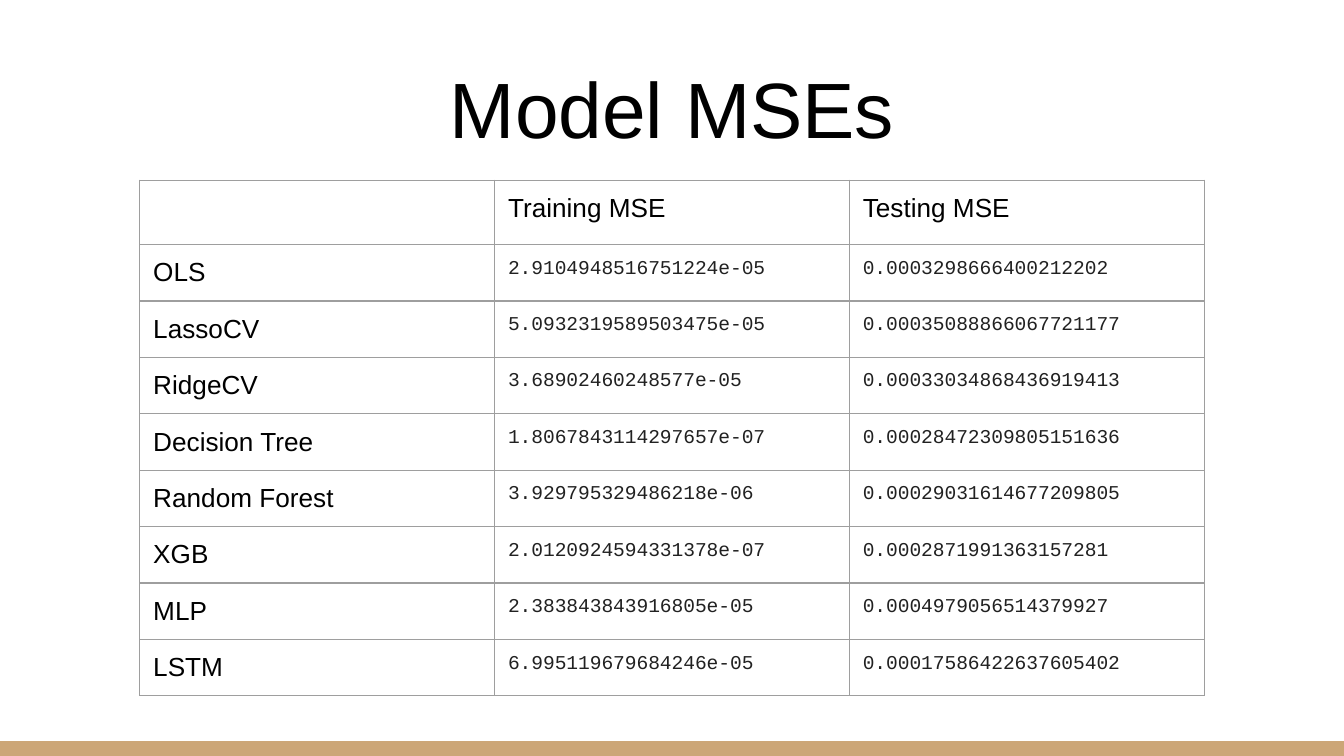
import dataclasses

import lxml.etree
import pptx
import pptx.dml.color
import pptx.enum.shapes
import pptx.enum.text
import pptx.oxml.ns
import pptx.util

Inches = pptx.util.Inches
Pt = pptx.util.Pt
RGB = pptx.dml.color.RGBColor.from_string

SLIDE_W = 10
SLIDE_H = SLIDE_W * 9 / 16
BAND_H = 0.11
TITLE_LEFT, TITLE_TOP, TITLE_H = 0.34, 0.34, 0.91
TABLE_LEFT, TABLE_TOP = 1.04, 1.34
COL_W, HEADER_H, ROW_H = 2.64, 0.48, 0.42
INSET = 0.1


@dataclasses.dataclass(frozen=True)
class TextStyle:
    font: str
    size: float
    color: str


@dataclasses.dataclass(frozen=True)
class Theme:
    title: TextStyle = TextStyle("Arial", 42, "000000")
    label: TextStyle = TextStyle("Arial", 14, "000000")
    value: TextStyle = TextStyle("Courier New", 10.5, "212121")
    band: str = "CCA677"
    border: str = "9E9E9E"
    border_width: float = 0.75


THEME = Theme()

ROWS = [
    ("", "Training MSE", "Testing MSE"),
    ("OLS", "2.9104948516751224e-05", "0.0003298666400212202"),
    ("LassoCV", "5.0932319589503475e-05", "0.00035088866067721177"),
    ("RidgeCV", "3.68902460248577e-05", "0.00033034868436919413"),
    ("Decision Tree", "1.8067843114297657e-07", "0.00028472309805151636"),
    ("Random Forest", "3.929795329486218e-06", "0.00029031614677209805"),
    ("XGB", "2.0120924594331378e-07", "0.0002871991363157281"),
    ("MLP", "2.383843843916805e-05", "0.0004979056514379927"),
    ("LSTM", "6.995119679684246e-05", "0.00017586422637605402"),
]


def style_paragraph(p, style):
    p.font.name = style.font
    p.font.size = Pt(style.size)
    p.font.color.rgb = RGB(style.color)


def set_insets(target):
    """Give a text frame or a table cell the same margin on every side."""
    target.margin_left = target.margin_right = Inches(INSET)
    target.margin_top = target.margin_bottom = Inches(INSET)


def add_band(s):
    sp = s.shapes.add_shape(
        pptx.enum.shapes.MSO_SHAPE.RECTANGLE,
        0, Inches(SLIDE_H - BAND_H), Inches(SLIDE_W), Inches(BAND_H))
    sp.shadow.inherit = False
    sp.fill.solid()
    sp.fill.fore_color.rgb = RGB(THEME.band)
    sp.line.fill.background()


def set_title(s, text):
    sp = s.shapes.title
    sp.left, sp.top = Inches(TITLE_LEFT), Inches(TITLE_TOP)
    sp.width, sp.height = Inches(SLIDE_W - 2 * TITLE_LEFT), Inches(TITLE_H)
    tf = sp.text_frame
    tf.text = text
    tf.auto_size = pptx.enum.text.MSO_AUTO_SIZE.NONE
    tf.vertical_anchor = pptx.enum.text.MSO_ANCHOR.BOTTOM
    set_insets(tf)
    p = tf.paragraphs[0]
    p.alignment = pptx.enum.text.PP_ALIGN.CENTER
    style_paragraph(p, THEME.title)


def set_borders(cell):
    qn = pptx.oxml.ns.qn
    tc_pr = cell._tc.get_or_add_tcPr()
    for side in ("a:lnL", "a:lnR", "a:lnT", "a:lnB"):
        ln = lxml.etree.SubElement(tc_pr, qn(side), w=str(Pt(THEME.border_width)))
        fill = lxml.etree.SubElement(ln, qn("a:solidFill"))
        lxml.etree.SubElement(fill, qn("a:srgbClr"), val=THEME.border)


def fill_cell(cell, text, style):
    cell.text = text
    set_insets(cell)
    style_paragraph(cell.text_frame.paragraphs[0], style)
    set_borders(cell)
    cell.fill.background()


def add_score_table(s, rows):
    n_rows, n_cols = len(rows), len(rows[0])
    table = s.shapes.add_table(
        n_rows, n_cols, Inches(TABLE_LEFT), Inches(TABLE_TOP),
        Inches(n_cols * COL_W), Inches(HEADER_H + (n_rows - 1) * ROW_H)).table
    table.first_row = table.horz_banding = False
    for column in table.columns:
        column.width = Inches(COL_W)
    for i, row in enumerate(rows):
        table.rows[i].height = Inches(ROW_H if i else HEADER_H)
        for j, text in enumerate(row):
            style = THEME.value if i and j else THEME.label
            fill_cell(table.cell(i, j), text, style)


def main():
    prs = pptx.Presentation()
    prs.slide_width, prs.slide_height = Inches(SLIDE_W), Inches(SLIDE_H)
    s = prs.slides.add_slide(prs.slide_layouts.get_by_name("Title Only"))
    add_band(s)
    set_title(s, "Model MSEs")
    add_score_table(s, ROWS)
    prs.save("out.pptx")


if __name__ == "__main__":
    main()
